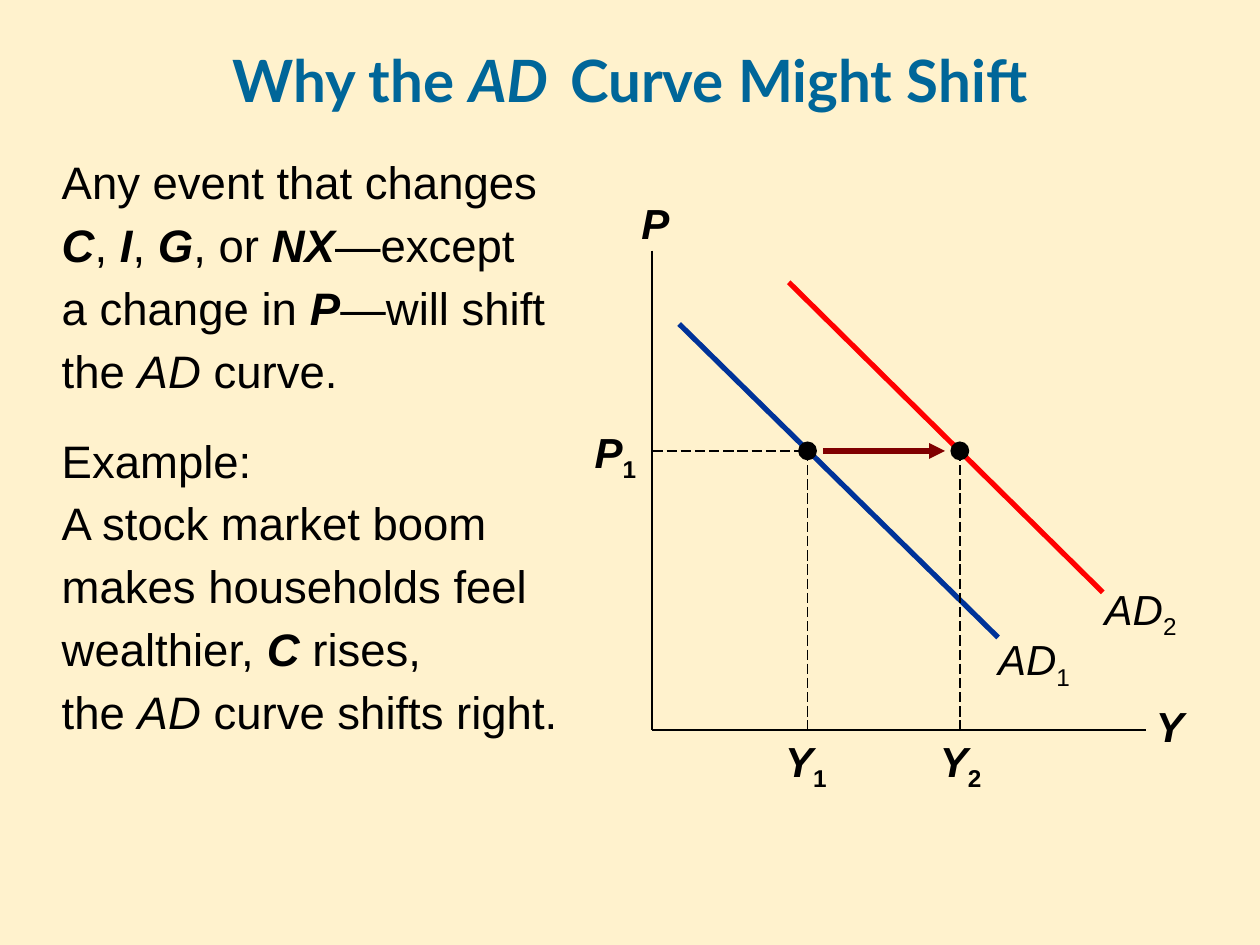
from dataclasses import dataclass

from lxml import etree
from pptx import Presentation
from pptx.dml.color import RGBColor
from pptx.enum import dml, shapes, text
from pptx.oxml import ns
from pptx.util import Cm, Pt

COLORS = {
    "background": "FFF2CD",
    "title": "006699",
    "ink": "000000",
    "first_curve": "003399",
    "second_curve": "FF0000",
    "shift": "800000",
}

# Chart coordinates, in centimetres
ORIGIN_X, ORIGIN_Y = 13.15, 14.71
PRICE_Y = 9.09
OUTPUT_1_X, OUTPUT_2_X = 16.28, 19.35
DOT_SIZE = 0.38


@dataclass(frozen=True)
class Run:
    text: str
    bold: bool = False
    italic: bool = False
    subscript: bool = False
    size: float | None = None


@dataclass(frozen=True)
class Line:
    start: tuple[float, float]
    end: tuple[float, float]
    color: str = "ink"
    width: float = 1
    dashed: bool = False
    arrow: bool = False


@dataclass(frozen=True)
class Label:
    left: float
    top: float
    width: float
    letters: str
    index: str = ""
    bold: bool = True
    inset: float = 0
    height: float = 1.02


def variable(letters: str) -> Run:
    return Run(letters, bold=True, italic=True)


def rgb(name: str) -> RGBColor:
    return RGBColor.from_string(COLORS[name])


def add_xml(parent, tag: str, **attributes: str) -> None:
    etree.SubElement(parent, ns.qn(tag), attributes)


def write_runs(paragraph, runs: list[Run], *, size: float, font: str = "Arial",
               color: str = "ink", align=None) -> None:
    """Write formatted runs; a newline in a run becomes a line break."""
    paragraph.alignment = align
    for item in runs:
        for number, part in enumerate(item.text.split("\n")):
            if number:
                paragraph.add_line_break()
            run = paragraph.add_run()
            run.text = part
            run.font.name = font
            run.font.size = Pt(item.size or size)
            run.font.bold = item.bold
            run.font.italic = item.italic
            run.font.color.rgb = rgb(color)
            if item.subscript:
                run.font._element.set("baseline", "-25000")


def place(shape, left: float, top: float, width: float, height: float) -> None:
    shape.left, shape.top = Cm(left), Cm(top)
    shape.width, shape.height = Cm(width), Cm(height)


def add_title(slide) -> None:
    title = slide.shapes.title
    place(title, 0, 0.69, 25.4, 1.8)
    frame = title.text_frame
    frame.auto_size = text.MSO_AUTO_SIZE.NONE
    frame.vertical_anchor = text.MSO_ANCHOR.MIDDLE
    runs = [Run("Why the ", bold=True), variable("AD "),
            Run(" ", bold=True, size=21.6), Run("Curve Might Shift", bold=True)]
    write_runs(frame.paragraphs[0], runs, size=33.3, font="Lato", color="title",
               align=text.PP_ALIGN.CENTER)


def add_body(slide) -> None:
    body = slide.placeholders[1]
    place(body, 0.99, 2.82, 10.72, 14.3)
    frame = body.text_frame
    frame.auto_size = text.MSO_AUTO_SIZE.NONE
    curve = Run("AD", italic=True)
    paragraphs = [
        [Run("Any event that changes "), variable("C"), Run(", "), variable("I"),
         Run(", "), variable("G"), Run(", or "), variable("NX"),
         Run("—except \na change in "), variable("P"), Run("—will shift the "),
         curve, Run(" curve.")],
        [Run("Example:\nA stock market boom makes households feel wealthier, "),
         variable("C"), Run(" rises, \nthe "), curve, Run(" curve shifts right.")],
    ]
    for number, runs in enumerate(paragraphs):
        paragraph = frame.add_paragraph() if number else frame.paragraphs[0]
        paragraph.line_spacing = 1.15
        paragraph.space_before = Pt(15.6 if number else 0)
        properties = paragraph._p.get_or_add_pPr()
        properties.set("marL", "0")
        properties.set("indent", "0")
        add_xml(properties, "a:buNone")
        write_runs(paragraph, runs, size=26)


def add_line(slide, line: Line) -> None:
    connector = slide.shapes.add_connector(
        shapes.MSO_CONNECTOR.STRAIGHT, *map(Cm, line.start + line.end))
    connector.line.color.rgb = rgb(line.color)
    connector.line.width = Pt(line.width)
    if line.dashed:
        connector.line.dash_style = dml.MSO_LINE.LONG_DASH
    if line.arrow:
        add_xml(connector.line._get_or_add_ln(), "a:tailEnd", type="triangle")
    add_xml(connector._element.spPr, "a:effectLst")


def add_dot(slide, center_x: float, center_y: float) -> None:
    corner = Cm(center_x - DOT_SIZE / 2), Cm(center_y - DOT_SIZE / 2)
    dot = slide.shapes.add_shape(shapes.MSO_SHAPE.OVAL, *corner,
                                 Cm(DOT_SIZE), Cm(DOT_SIZE))
    dot.shadow.inherit = False
    dot.fill.solid()
    dot.fill.fore_color.rgb = rgb("ink")
    dot.line.fill.background()


def add_label(slide, label: Label) -> None:
    box = slide.shapes.add_textbox(*map(Cm, (label.left, label.top,
                                             label.width, label.height)))
    frame = box.text_frame
    frame.word_wrap = True
    frame.margin_left = frame.margin_right = Cm(label.inset)
    frame.margin_top = frame.margin_bottom = Cm(label.inset / 2)
    runs = [Run(label.letters, bold=label.bold, italic=True)]
    if label.index:
        runs.append(Run(label.index, bold=label.bold, subscript=True))
    write_runs(frame.paragraphs[0], runs, size=24, align=text.PP_ALIGN.CENTER)


def add_graph(slide) -> None:
    lines = [
        Line((ORIGIN_X, 5.05), (ORIGIN_X, ORIGIN_Y)),
        Line((ORIGIN_X, ORIGIN_Y), (23.11, ORIGIN_Y)),
        Line((13.69, 6.53), (20.12, 12.85), "first_curve", 3),
        Line((15.9, 5.69), (22.23, 11.94), "second_curve", 3),
        Line((ORIGIN_X, PRICE_Y), (OUTPUT_1_X, PRICE_Y), width=0.75, dashed=True),
        *(Line((x, PRICE_Y), (x, ORIGIN_Y), width=0.75, dashed=True)
          for x in (OUTPUT_1_X, OUTPUT_2_X)),
        Line((16.59, PRICE_Y), (19.05, PRICE_Y), "shift", 3, arrow=True),
    ]
    labels = [
        Label(12.65, 3.86, 1.12, "P", inset=0.25, height=1.27),
        Label(22.99, 14.0, 1.19, "Y", inset=0.25, height=1.27),
        Label(19.74, 12.65, 2.21, "AD", "1", bold=False, inset=0.25, height=1.27),
        Label(21.89, 11.63, 2.21, "AD", "2", bold=False, inset=0.25, height=1.27),
        Label(11.73, 8.59, 1.35, "P", "1"),
        Label(15.57, 14.82, 1.35, "Y", "1"),
        Label(18.69, 14.82, 1.35, "Y", "2"),
    ]
    for line in lines:
        add_line(slide, line)
    for x in (OUTPUT_1_X, OUTPUT_2_X):
        add_dot(slide, x, PRICE_Y)
    for label in labels:
        add_label(slide, label)


def main() -> None:
    presentation = Presentation()
    presentation.slide_width, presentation.slide_height = Cm(25.4), Cm(19.05)
    slide = presentation.slides.add_slide(presentation.slide_layouts[1])
    slide.background.fill.solid()
    slide.background.fill.fore_color.rgb = rgb("background")
    add_title(slide)
    add_body(slide)
    add_graph(slide)
    presentation.save("out.pptx")


if __name__ == "__main__":
    main()
